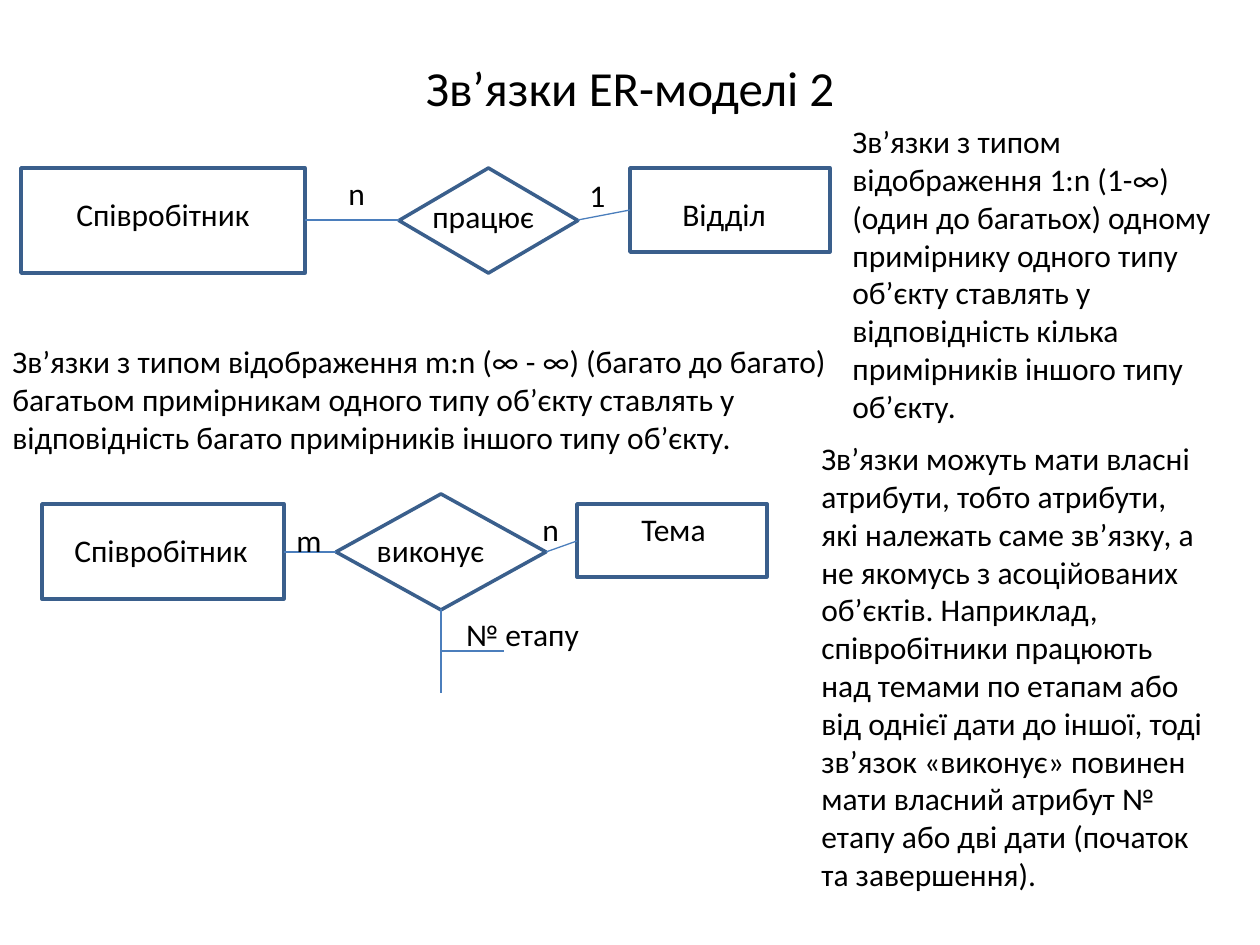
"""Build the slide on ER-model relationships with two entity diagrams."""
from lxml.etree import SubElement
from pptx import Presentation
from pptx.dml.color import RGBColor
from pptx.enum.shapes import MSO_CONNECTOR, MSO_SHAPE
from pptx.enum.text import MSO_ANCHOR as Anchor, PP_ALIGN as Align
from pptx.oxml.ns import qn
from pptx.util import Inches, Pt

OUTLINE = RGBColor(0x3A, 0x5F, 0x8C)
LINK = RGBColor(0x4B, 0x7E, 0xBC)
BLACK = RGBColor(0, 0, 0)
PIXELS_PER_INCH = 126


def to_emu(*pixels):
    return [Inches(value / PIXELS_PER_INCH) for value in pixels]


def add_text(box, text, align=Align.LEFT, size=18, anchor=Anchor.TOP):
    frame = slide.shapes.add_textbox(*to_emu(*box)).text_frame
    frame.word_wrap = True
    frame.vertical_anchor = anchor
    paragraph = frame.paragraphs[0]
    paragraph.alignment = align
    run = paragraph.add_run()
    run.text = text
    run.font.color.rgb = BLACK
    for name, value in {"name": "Calibri", "size": Pt(size)}.items():
        setattr(run.font, name, value)


presentation = Presentation()
presentation.slide_width, presentation.slide_height = to_emu(1260, 945)
slide = presentation.slides.add_slide(presentation.slide_layouts[6])

add_text((63, 38, 1134, 98), "Зв’язки ЕR-моделі 2", Align.CENTER, 28, Anchor.MIDDLE)

ENTITY, RELATION = MSO_SHAPE.RECTANGLE, MSO_SHAPE.FLOWCHART_DECISION
nodes = [
    (ENTITY, (21, 168, 284, 105), "Співробітник", (42, 189, 242, 53), Align.CENTER),
    (ENTITY, (630, 168, 200, 84), "Відділ", (640, 189, 168, 53), Align.CENTER),
    (RELATION, (399, 168, 179, 105), "працює", (420, 191, 136, 50), Align.LEFT),
    (ENTITY, (42, 504, 242, 95), "Співробітник", (62, 525, 199, 50), Align.LEFT),
    (ENTITY, (577, 504, 190, 73), "Тема", (591, 504, 165, 50), Align.CENTER),
    (RELATION, (336, 494, 210, 116), "виконує", (357, 525, 147, 50), Align.CENTER),
]
for kind, box, label, label_box, align in nodes:
    shape = slide.shapes.add_shape(kind, *to_emu(*box))
    shape.shadow.inherit = False
    shape.fill.background()
    shape.line.color.rgb = OUTLINE
    shape.line.width = Pt(2)
    add_text(label_box, label, align)

links = [
    (578, 220, 630, 210),
    (305, 220, 399, 220),
    (284, 552, 336, 552),
    (546, 552, 577, 541),
    (441, 609, 441, 693),
    (441, 651, 504, 651),
]
for ends in links:
    connector = slide.shapes.add_connector(MSO_CONNECTOR.STRAIGHT, *to_emu(*ends))
    connector.line.color.rgb = LINK
    connector.line.width = Pt(0.75)
    SubElement(connector._element.spPr, qn("a:effectLst"))

captions = [
    ((336, 168, 42, 50), "n"),
    ((577, 170, 27, 50), "1"),
    ((284, 515, 53, 50), "m"),
    ((530, 504, 32, 50), "n"),
    ((441, 609, 163, 50), "№ етапу", Align.CENTER),
    ((840, 116, 399, 318),
     "Зв’язки з типом відображення 1:n (1-∞)(один до багатьох) одному примірнику "
     "одного типу об’єкту ставлять у відповідність кілька примірників іншого типу об’єкту."),
    ((0, 336, 840, 127),
     "Зв’язки з типом відображення m:n (∞ - ∞) (багато до багато) багатьом примірникам "
     "одного типу об’єкту ставлять у відповідність багато примірників іншого типу об’єкту."),
    ((809, 433, 410, 471),
     "Зв’язки можуть мати власні атрибути, тобто атрибути, які належать саме зв’язку, "
     "а не якомусь з асоційованих об’єктів. Наприклад, співробітники працюють над темами "
     "по етапам або від однієї дати до іншої, тоді зв’язок «виконує» повинен мати власний "
     "атрибут № етапу або дві дати (початок та завершення)."),
]
for caption in captions:
    add_text(*caption)

presentation.save("out.pptx")
